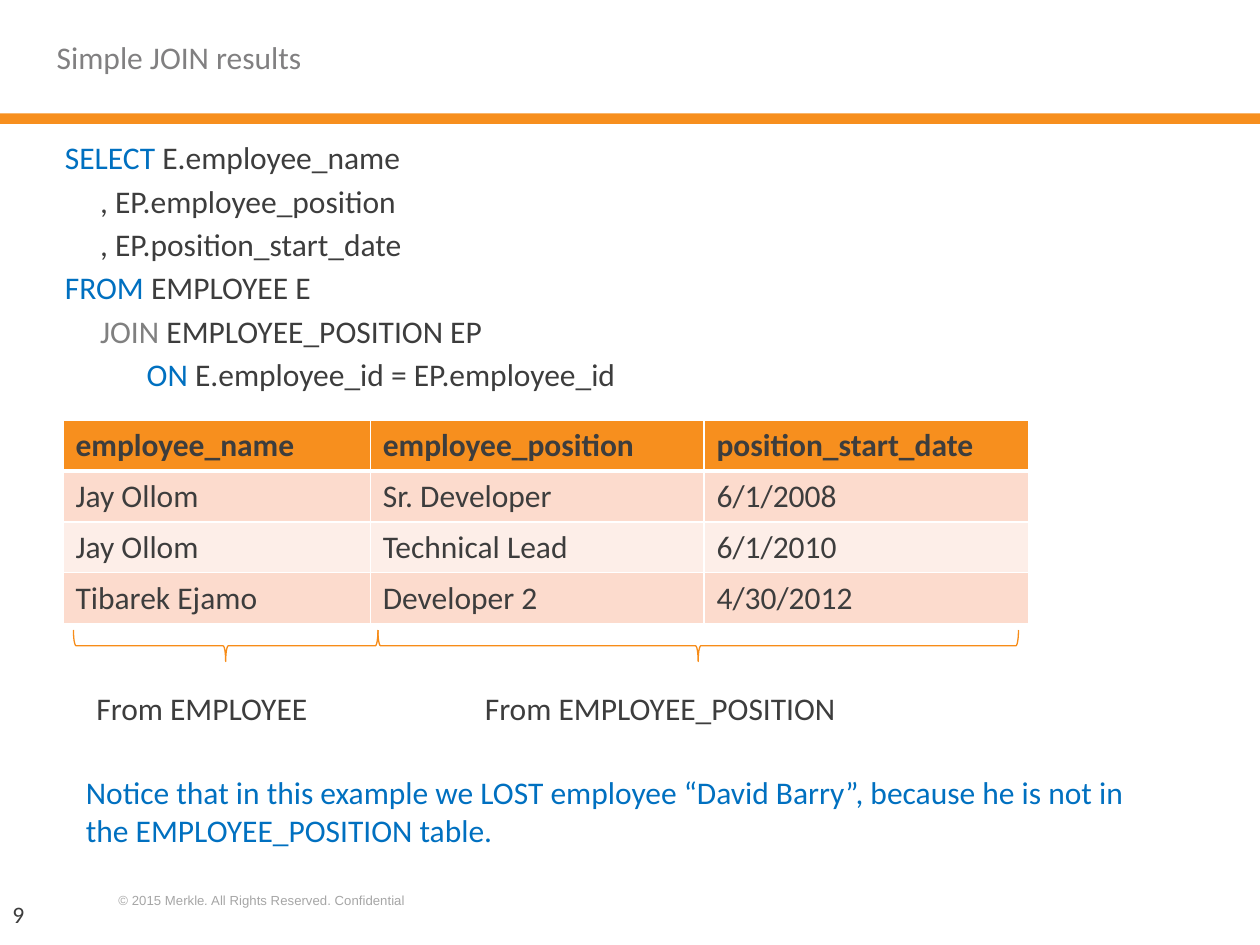
from collections import namedtuple
from dataclasses import dataclass

from lxml.etree import SubElement
from pptx import Presentation
from pptx.dml.color import RGBColor
from pptx.enum.shapes import MSO_SHAPE
from pptx.enum.text import MSO_ANCHOR, PP_ALIGN
from pptx.oxml.ns import qn
from pptx.util import Inches, Pt

UNIT = Inches(1) / 12
Box = namedtuple("Box", "x y w h")


@dataclass(frozen=True)
class Theme:
    font: str = "Calibri"
    footer_font: str = "Arial"
    text: str = "3D3D3D"
    title: str = "818081"
    keyword: str = "0070C0"
    operator: str = "808080"
    muted: str = "A6A6A6"
    bar: str = "F78F1E"
    brace: str = "F78C18"
    bands: tuple = ("FCDBCD", "FDEEE8")
    border: str = "FFFFFF"
    body_size: float = 18
    number_size: float = 13.5
    footer_size: float = 7.5


T = Theme()


def emu(box):
    return [round(v * UNIT) for v in box]


def add_run(p, text, color=T.text, size=T.body_size, name=T.font, **extra):
    r = p.add_run()
    r.text = text
    formats = {"size": Pt(size), "name": name, **extra}
    for key, value in formats.items():
        setattr(r.font, key, value)
    r.font.color.rgb = RGBColor.from_string(color)


def add_text(s, box, *runs):
    tf = s.shapes.add_textbox(*emu(box)).text_frame
    tf.word_wrap = True
    for text, formats in runs:
        add_run(tf.paragraphs[0], text, **formats)
    return tf


def add_header(s, box):
    sp = s.shapes.title
    for key, value in zip(("left", "top", "width", "height"), emu(box)):
        setattr(sp, key, value)
    tf = sp.text_frame
    tf.vertical_anchor = MSO_ANCHOR.MIDDLE
    p = tf.paragraphs[0]
    p.alignment = PP_ALIGN.LEFT
    add_run(p, "Simple JOIN results", T.title)
    bar = s.shapes.add_shape(MSO_SHAPE.RECTANGLE, *emu(Box(0, box.y + box.h, 120, 1)))
    bar.shadow.inherit = False
    bar.fill.solid()
    bar.fill.fore_color.rgb = RGBColor.from_string(T.bar)
    bar.line.fill.background()


def add_query(s, box):
    indents = (0, 0.28, 0.65)
    lines = [
        (0, "SELECT ", T.keyword, "E.employee_name"),
        (1, ", ", T.text, "EP.employee_position"),
        (1, ", ", T.text, "EP.position_start_date"),
        (0, "FROM ", T.keyword, "EMPLOYEE E"),
        (1, "JOIN ", T.operator, "EMPLOYEE_POSITION EP"),
        (2, "ON ", T.keyword, "E.employee_id = EP.employee_id"),
    ]
    tf = add_text(s, box)
    tf.vertical_anchor = MSO_ANCHOR.MIDDLE
    for i, (level, lead, color, rest) in enumerate(lines):
        p = tf.add_paragraph() if i else tf.paragraphs[0]
        p._p.get_or_add_pPr().set("marL", str(Inches(indents[level])))
        p.space_before = Pt(3.2 if i else 0)
        add_run(p, lead, color)
        add_run(p, rest)


def set_borders(cell, widths):
    tcPr = cell._tc.get_or_add_tcPr()
    for i, (side, width) in enumerate(widths.items()):
        ln = SubElement(tcPr, qn(f"a:{side}"), w=str(Pt(width)))
        fill = SubElement(ln, qn("a:solidFill"))
        SubElement(fill, qn("a:srgbClr"), val=T.border)
        tcPr.remove(ln)
        tcPr.insert(i, ln)


def add_results(s, box):
    rows = [
        ("employee_name", "employee_position", "position_start_date"),
        ("Jay Ollom", "Sr. Developer", "6/1/2008"),
        ("Jay Ollom", "Technical Lead", "6/1/2010"),
        ("Tibarek Ejamo", "Developer 2", "4/30/2012"),
    ]
    shares = (2.44, 2.65, 2.58)
    table = s.shapes.add_table(len(rows), len(shares), *emu(box)).table
    for col, share in zip(table.columns, shares):
        col.width = round(box.w * UNIT * share / sum(shares))
    for i, row in enumerate(rows):
        for j, text in enumerate(row):
            cell = table.cell(i, j)
            cell.fill.solid()
            color = T.bands[(i - 1) % 2] if i else T.bar
            cell.fill.fore_color.rgb = RGBColor.from_string(color)
            add_run(cell.text_frame.paragraphs[0], text, bold=i == 0)
            set_borders(cell, {"lnL": 1, "lnR": 1, "lnT": 1, "lnB": 1 if i else 3})


def add_source(s, box, label, label_x, label_w):
    x = box.x + (box.w - box.h) / 2
    y = box.y + (box.h - box.w) / 2
    brace = s.shapes.add_shape(MSO_SHAPE.LEFT_BRACE, *emu(Box(x, y, box.h, box.w)))
    brace.rotation = 270
    brace.shadow.inherit = False
    brace.fill.background()
    brace.line.color.rgb = RGBColor.from_string(T.brace)
    brace.line.width = Pt(0.75)
    add_text(s, Box(box.x + label_x, box.y + 5, label_w, 4.8), (label, {}))


def add_footer(s, box):
    small = {"color": T.muted, "size": T.footer_size, "name": T.footer_font}
    add_text(s, Box(box.x + 10.1, box.y, 49.4, 2.8),
             ("© 2015 Merkle", small),
             (".", {**small, "italic": True}),
             (" All Rights Reserved. Confidential", small))
    add_text(s, Box(box.x, box.y + 0.7, 6, 4.3), ("9", {"size": T.number_size}))


def main():
    prs = Presentation()
    prs.slide_width, prs.slide_height = Inches(10), Inches(7.5)
    s = prs.slides.add_slide(prs.slide_layouts[5])
    add_header(s, Box(4.2, 0, 111.4, 10.8))
    add_query(s, Box(5, 12, 83, 26.6))
    add_results(s, Box(6, 40, 92, 19.4))
    add_source(s, Box(7, 60, 29, 3), "From EMPLOYEE", 1, 27)
    add_source(s, Box(36, 60, 61, 3), "From EMPLOYEE_POSITION", 9, 43.2)
    add_text(s, Box(7, 73, 105.2, 8.5),
             ("Notice that in this example we LOST employee “David Barry”, because "
              "he is not in the EMPLOYEE_POSITION table.", {"color": T.keyword}))
    add_footer(s, Box(0, 84.4, 120, 5.6))
    prs.save("out.pptx")


if __name__ == "__main__":
    main()
